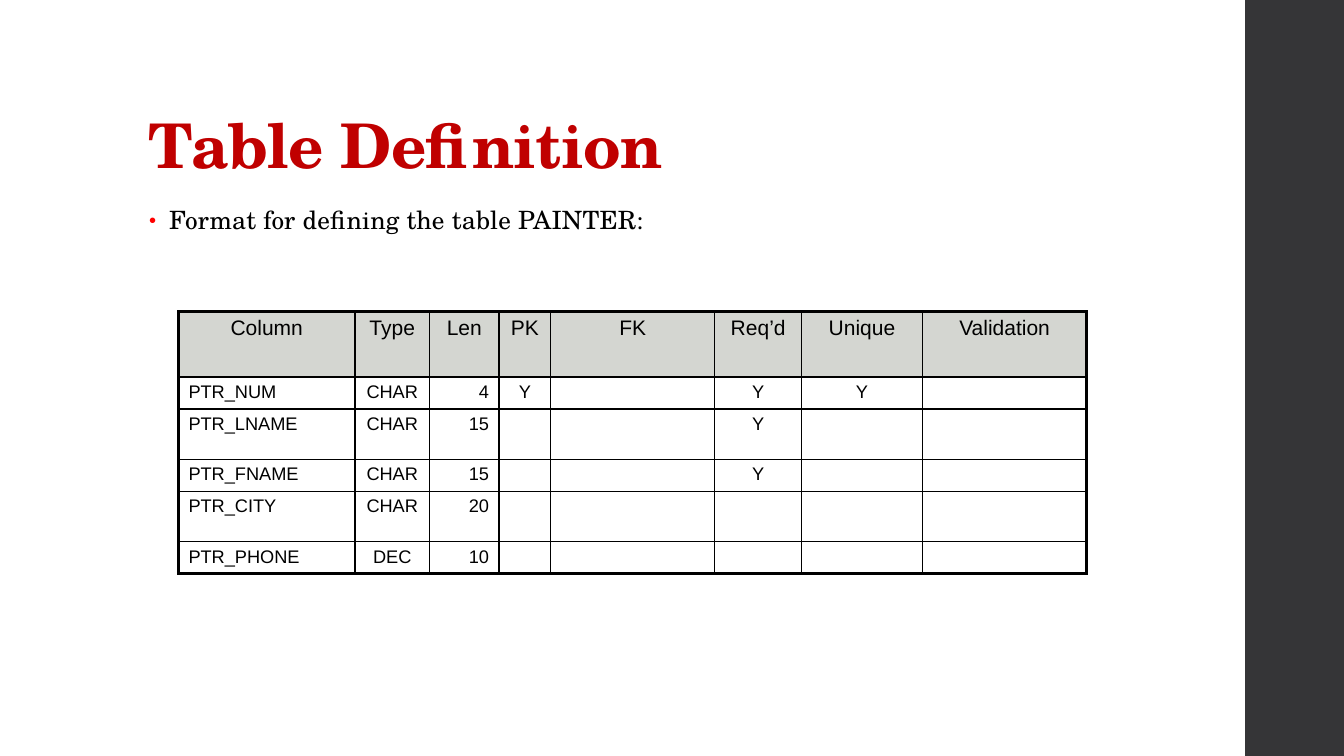
import pptx
import pptx.util
import pptx.dml.color
import pptx.enum.shapes
import pptx.enum.text
import pptx.oxml.ns
from lxml import etree

PP = pptx.enum.text.PP_ALIGN
ANCHOR = pptx.enum.text.MSO_ANCHOR
qn = pptx.oxml.ns.qn
COLORS = {"title": "C00000", "text": "000000", "bullet": "FF0000",
          "bar": "353537", "header": "ABAFA5", "border": "000000"}
SERIF, SANS = "TeX Gyre Schola", "Arial"

prs = pptx.Presentation()
prs.slide_width = pptx.util.Inches(13.33)
prs.slide_height = pptx.util.Inches(7.5)
s = prs.slides.add_slide(prs.slide_layouts[6])


def share(*percents):
    """Turn x, y, x, y... percentages of the slide into lengths."""
    sides = (prs.slide_width, prs.slide_height)
    return [int(sides[i % 2] * v / 100) for i, v in enumerate(percents)]


def write(tf, text, size, font=SANS, color="text", bold=False, align=PP.LEFT,
          line=None, spacing=None, anchor=ANCHOR.TOP):
    tf.word_wrap = True
    tf.vertical_anchor = anchor
    p = tf.paragraphs[0]
    p.alignment = align
    p.line_spacing = line
    if not text:
        etree.SubElement(p._p, qn("a:endParaRPr"), sz=str(size * 100))
        return p
    r = p.add_run()
    r.text = text
    r.font.size, r.font.name, r.font.bold = pptx.util.Pt(size), font, bold
    r.font.color.rgb = pptx.dml.color.RGBColor.from_string(COLORS[color])
    if spacing:
        r._r.get_or_add_rPr().set("spc", str(spacing))
    return p


# Side bar
bar = s.shapes.add_shape(pptx.enum.shapes.MSO_SHAPE.RECTANGLE, *share(92.65, 0, 7.35, 100))
bar.shadow.inherit = False
bar.fill.solid()
bar.fill.fore_color.rgb = pptx.dml.color.RGBColor.from_string(COLORS["bar"])
bar.line.fill.background()

# Title
title = s.shapes.add_textbox(*share(10.35, 5.33, 79.52, 19.33))
write(title.text_frame, "Table Definition", 44, SERIF, "title", bold=True,
      line=0.9, spacing=-50, anchor=ANCHOR.BOTTOM)

# Bulleted line
body = s.shapes.add_textbox(*share(10.35, 26.67, 70.52, 63.47))
p = write(body.text_frame, "Format for defining the table PAINTER:", 18, SERIF,
          line=0.95, spacing=10)
pPr = p._p.get_or_add_pPr()
indent = pptx.util.Inches(0.2)
pPr.set("marL", str(indent))
pPr.set("indent", str(-indent))
etree.SubElement(etree.SubElement(pPr, qn("a:buClr")), qn("a:srgbClr"), val=COLORS["bullet"])
etree.SubElement(pPr, qn("a:buSzPct"), val="80000")
etree.SubElement(pPr, qn("a:buFont"), typeface="Arial")
etree.SubElement(pPr, qn("a:buChar"), char="•")

# Table definition grid
rows = [
    ["Column", "Type", "Len", "PK", "FK", "Req’d", "Unique", "Validation"],
    ["PTR_NUM", "CHAR", "4", "Y", "", "Y", "Y", ""],
    ["PTR_LNAME", "CHAR", "15", "", "", "Y", "", ""],
    ["PTR_FNAME", "CHAR", "15", "", "", "Y", "", ""],
    ["PTR_CITY", "CHAR", "20", "", "", "", "", ""],
    ["PTR_PHONE", "DEC", "10", "", "", "", "", ""],
]
widths = [13.13, 5.55, 5.18, 3.83, 12.23, 6.45, 9, 12.23]
heights = [8.67, 4.13, 6.67, 4.13, 6.67, 4.13]
aligns = [PP.LEFT, PP.CENTER, PP.RIGHT] + [PP.CENTER] * 5
last_row, last_col = len(rows) - 1, len(widths) - 1

frame = s.shapes.add_table(len(rows), len(widths),
                           *share(13.28, 41.2, sum(widths), sum(heights)))
table = frame.table
table.first_row = table.horz_banding = False
for column, w in zip(table.columns, widths):
    column.width = share(w)[0]
for row, h in zip(table.rows, heights):
    row.height = share(0, h)[1]

for i, row in enumerate(rows):
    for j, text in enumerate(row):
        cell = table.cell(i, j)
        header = i == 0
        write(cell.text_frame, text, 15 if header else 13,
              align=PP.CENTER if header else aligns[j])
        tcPr = cell._tc.get_or_add_tcPr()
        if header:
            cell.fill.solid()
            cell.fill.fore_color.rgb = pptx.dml.color.RGBColor.from_string(COLORS["header"])
            etree.SubElement(tcPr.find(".//" + qn("a:srgbClr")), qn("a:alpha"), val="50000")
        else:
            cell.fill.background()
        # Thick outer edge, thin inner lines
        edges = {"lnL": j == 0, "lnR": j == last_col, "lnT": header, "lnB": i == last_row}
        for k, (side, outer) in enumerate(edges.items()):
            ln = etree.Element(qn("a:" + side), w=str(pptx.util.Pt(2.25 if outer else 1)))
            fill = etree.SubElement(ln, qn("a:solidFill"))
            etree.SubElement(fill, qn("a:srgbClr"), val=COLORS["border"])
            tcPr.insert(k, ln)

prs.save("out.pptx")
